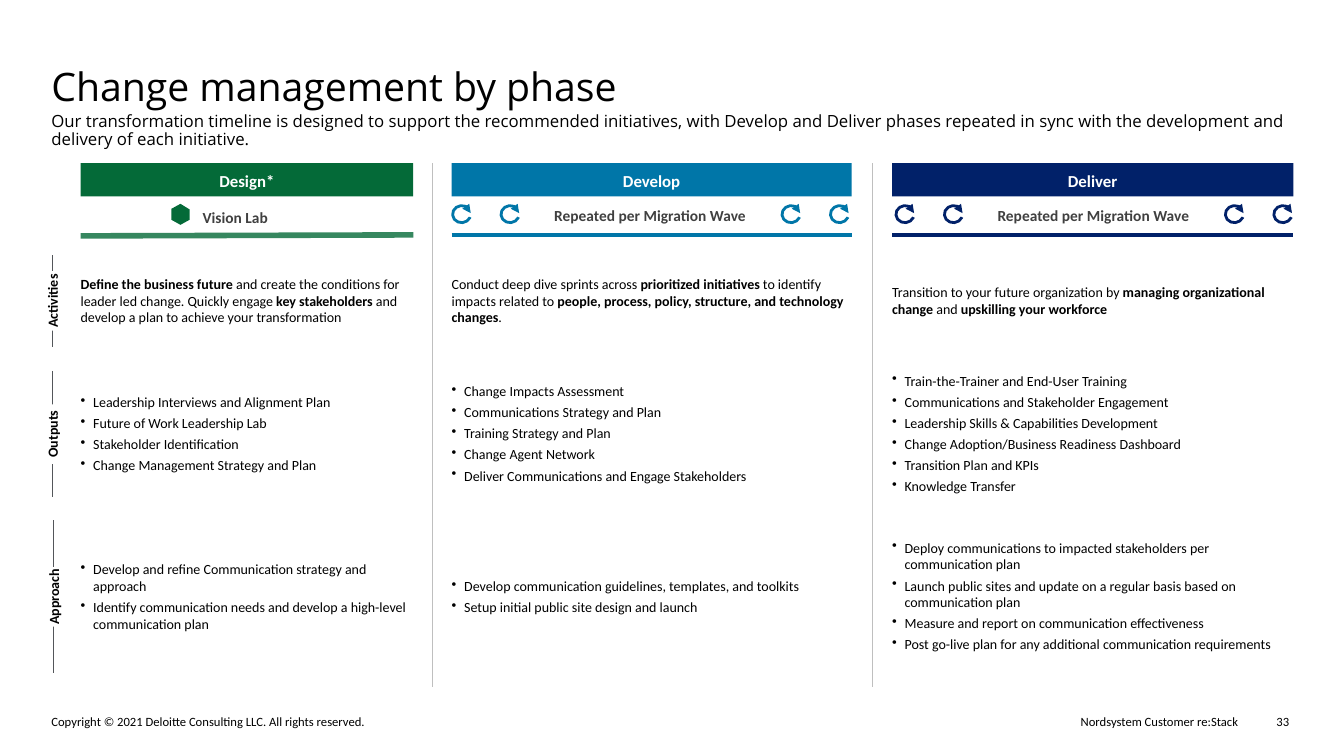
from lxml import etree
from pptx import Presentation
from pptx.dml.color import RGBColor
from pptx.enum.shapes import MSO_CONNECTOR as Connector, MSO_SHAPE as Preset
from pptx.enum.text import MSO_ANCHOR as Anchor, PP_ALIGN as Align
from pptx.oxml.ns import qn
from pptx.util import Pt

BLACK = RGBColor(0x00, 0x00, 0x00)
WHITE = RGBColor(0xFF, 0xFF, 0xFF)
DARK_GREY = RGBColor(0x40, 0x40, 0x40)
SLATE = RGBColor(0x53, 0x56, 0x5A)
LIGHT_GREY = RGBColor(0xBF, 0xBF, 0xBF)
GREEN = RGBColor(0x04, 0x6A, 0x38)
BLUE = RGBColor(0x00, 0x76, 0xA8)
NAVY = RGBColor(0x01, 0x21, 0x69)

LINE_HEIGHT, BULLET_GAP = 12.2, 3
CYCLE_OFFSETS = (0, 34.6, 235.3, 269.9)
WAVE = "Repeated per Migration Wave"

# name, colour, left, width, first cycle icon
PHASES = [
    ("Design*", GREEN, 57.6, 237.6, None),
    ("Develop", BLUE, 322.6, 285.8, 323.3),
    ("Deliver", NAVY, 637.2, 286.6, 640),
]

# name, line x, line top, line bottom
ROWS = [
    ("Activities", 37.4, 182.2, 247.7),
    ("Outputs", 37.4, 265, 355),
    ("Approach", 38.2, 371.5, 481),
]

# Per phase: line count, then (text, bold) runs
ACTIVITIES = [
    (3, [("Define the business future ", True),
         ("and create the conditions for leader led change. Quickly engage ", False),
         ("key stakeholders ", True),
         ("and develop a plan to achieve your transformation", False)]),
    (3, [("Conduct deep dive sprints across ", False),
         ("prioritized initiatives ", True),
         ("to identify impacts related to ", False),
         ("people, process, policy, structure, and technology changes", True),
         (".", False)]),
    (2, [("Transition to your future organization by ", False),
         ("managing organizational change ", True),
         ("and ", False),
         ("upskilling your workforce", True)]),
]

# Per phase: line count, then bullets
OUTPUTS = [
    (4, ["Leadership Interviews and Alignment Plan",
         "Future of Work Leadership Lab",
         "Stakeholder Identification",
         "Change Management Strategy and Plan"]),
    (5, ["Change Impacts Assessment",
         "Communications Strategy and Plan",
         "Training Strategy and Plan",
         "Change Agent Network",
         "Deliver Communications and Engage Stakeholders"]),
    (6, ["Train-the-Trainer and End-User Training",
         "Communications and Stakeholder Engagement",
         "Leadership Skills & Capabilities Development",
         "Change Adoption/Business Readiness Dashboard",
         "Transition Plan and KPIs",
         "Knowledge Transfer"]),
]
APPROACH = [
    (4, ["Develop and refine Communication strategy and approach",
         "Identify communication needs and develop a high-level communication plan"]),
    (2, ["Develop communication guidelines, templates, and toolkits",
         "Setup initial public site design and launch"]),
    (6, ["Deploy communications to impacted stakeholders per communication plan",
         "Launch public sites and update on a regular basis based on communication plan",
         "Measure and report on communication effectiveness",
         "Post go-live plan for any additional communication requirements"]),
]


def points(*lengths):
    return [Pt(length) for length in lengths]


def prepare_frame(shape, anchor=Anchor.TOP):
    frame = shape.text_frame
    frame.margin_left = frame.margin_right = frame.margin_top = frame.margin_bottom = 0
    frame.word_wrap = True
    frame.vertical_anchor = anchor
    return frame


def add_run(para, text, size=10, color=BLACK, bold=False, font="Calibri"):
    span = para.add_run()
    span.text = text
    span.font.name = font
    span.font.size = Pt(size)
    span.font.bold = bold
    span.font.color.rgb = color


def add_label(slide, place, text, align=Align.LEFT, spacing=None, **style):
    box = slide.shapes.add_textbox(*points(*place))
    para = prepare_frame(box).paragraphs[0]
    para.alignment = align
    if spacing:
        para.line_spacing = spacing
    add_run(para, text, **style)


def add_bar(slide, place, fill, text, spacing=None, **style):
    """Add a borderless filled rectangle with bold centred text."""
    bar = slide.shapes.add_shape(Preset.RECTANGLE, *points(*place))
    bar.shadow.inherit = False
    bar.fill.solid()
    bar.fill.fore_color.rgb = fill
    bar.line.fill.background()
    para = prepare_frame(bar, Anchor.MIDDLE).paragraphs[0]
    para.alignment = Align.CENTER
    if spacing:
        para.line_spacing = spacing
    add_run(para, text, bold=True, **style)
    return bar


def add_line(slide, ends, color, width, opacity=None):
    line = slide.shapes.add_connector(Connector.STRAIGHT, *points(*ends))
    line.line.color.rgb = color
    line.line.width = Pt(width)
    properties = line._element.spPr
    if opacity:
        tint = properties.find(".//" + qn("a:srgbClr"))
        etree.SubElement(tint, qn("a:alpha"), val=str(opacity * 1000))
    etree.SubElement(properties, qn("a:effectLst"))


def add_cycle(slide, left, color):
    """Add a nearly closed circular arrow."""
    cycle = slide.shapes.add_shape(Preset.ARC, *points(left, 146.9, 13, 12.2))
    cycle.adjustments[0], cycle.adjustments[1] = 15.748, 0
    cycle.rotation = 353.6
    cycle.shadow.inherit = False
    cycle.fill.solid()
    cycle.fill.fore_color.rgb = WHITE
    cycle.line.color.rgb = color
    cycle.line.width = Pt(2)
    etree.SubElement(cycle.line._get_or_add_ln(), qn("a:tailEnd"), type="triangle")


def add_hexagon(slide):
    corners = [(128.9, 145.6), (135.4, 149.6), (135.4, 157),
               (128.9, 160.6), (122.4, 157), (122.4, 149.2)]
    corners = [points(*corner) for corner in corners]
    builder = slide.shapes.build_freeform(*corners[0])
    builder.add_line_segments(corners[1:], close=True)
    hexagon = builder.convert_to_shape()
    hexagon.shadow.inherit = False
    hexagon.fill.solid()
    hexagon.fill.fore_color.rgb = GREEN
    hexagon.line.fill.background()


def add_cell(slide, phase, row, line_count, content):
    """Add a text cell centred on its row; plain strings become bullets."""
    _, _, left, width, _ = phase
    _, _, top, bottom = row
    bulleted = isinstance(content[0], str)
    height = line_count * LINE_HEIGHT
    if bulleted:
        height += (len(content) - 1) * BULLET_GAP
    place = (left, (top + bottom - height) / 2, width - 5, height)
    frame = prepare_frame(slide.shapes.add_textbox(*points(*place)))
    if not bulleted:
        for text, bold in content:
            add_run(frame.paragraphs[0], text, bold=bold)
        return
    for index, text in enumerate(content):
        para = frame.add_paragraph() if index else frame.paragraphs[0]
        para.space_after = Pt(BULLET_GAP)
        properties = para._p.get_or_add_pPr()
        properties.set("marL", str(Pt(9)))
        properties.set("indent", str(-Pt(9)))
        etree.SubElement(properties, qn("a:buChar"), char="•")
        add_run(para, text)


def add_phase_header(slide, phase):
    name, color, left, width, first_cycle = phase
    add_bar(slide, (left, 116.6, width, 23.8), color, name, 1.1, size=12, color=WHITE)
    if first_cycle is None:
        add_line(slide, (left, 168.5, left + width, 167.8), color, 4, opacity=80)
        add_hexagon(slide)
        add_label(slide, (144.7, 148.3, 79.2, 13.7), "Vision Lab",
                  size=11, color=DARK_GREY, bold=True)
        return
    add_line(slide, (left, 168, left + width, 168), color, 3)
    add_label(slide, (first_cycle + 69.5, 146.9, 143, 13.7), WAVE, Align.CENTER,
              size=11, color=DARK_GREY, bold=True)
    for offset in CYCLE_OFFSETS:
        add_cycle(slide, first_cycle + offset, color)


def add_row_header(slide, row):
    name, x, top, bottom = row
    add_line(slide, (x, top, x, bottom), SLATE, 0.75)
    place = (x - 21.25, (top + bottom - 12.6) / 2, 42.5, 12.6)
    add_bar(slide, place, WHITE, name).rotation = 270


def main():
    deck = Presentation()
    deck.slide_width, deck.slide_height = Pt(960), Pt(540)
    page = deck.slides.add_slide(deck.slide_layouts[6])
    add_label(page, (36.7, 44.6, 886.3, 35.3), "Change management by phase",
              size=28, font="Open Sans")
    add_label(page, (36.7, 80.6, 886.3, 31),
              "Our transformation timeline is designed to support the recommended initiatives, "
              "with Develop and Deliver phases repeated in sync with the development and "
              "delivery of each initiative.", spacing=0.9, size=12, font="Open Sans")
    for x in (308.9, 623.5):
        add_line(page, (x, 116.6, x, 491), LIGHT_GREY, 0.75)
    for phase in PHASES:
        add_phase_header(page, phase)
    for row, cells in zip(ROWS, (ACTIVITIES, OUTPUTS, APPROACH)):
        add_row_header(page, row)
        for phase, (line_count, content) in zip(PHASES, cells):
            add_cell(page, phase, row, line_count, content)
    add_label(page, (36.7, 509.8, 422, 11),
              "Copyright © 2021 Deloitte Consulting LLC. All rights reserved.", size=9)
    add_label(page, (499, 509.8, 385.2, 11), "Nordsystem Customer re:Stack", Align.RIGHT, size=9)
    add_label(page, (896.4, 509.8, 24.5, 11), "33", Align.RIGHT, size=9)
    deck.save("out.pptx")


if __name__ == "__main__":
    main()
